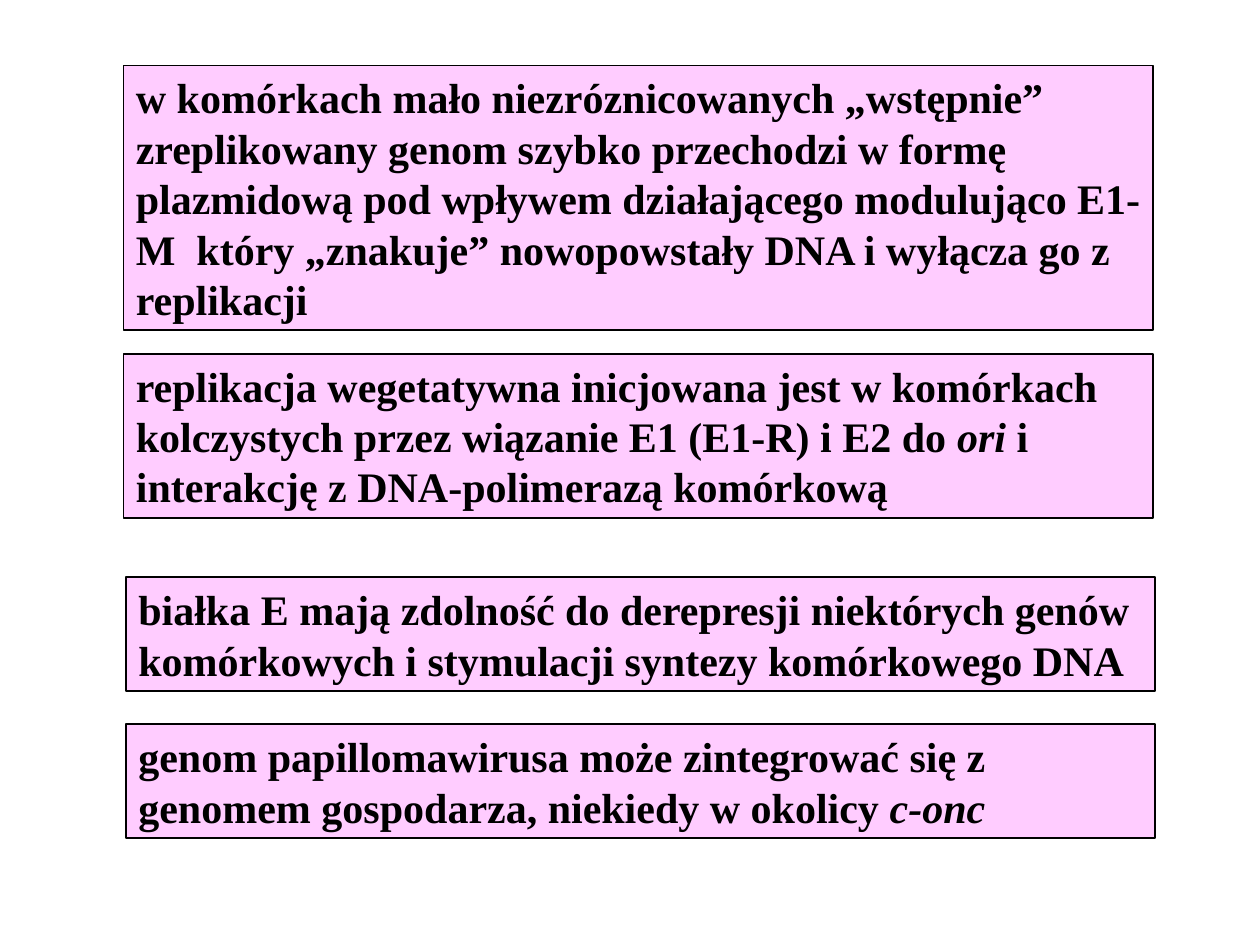
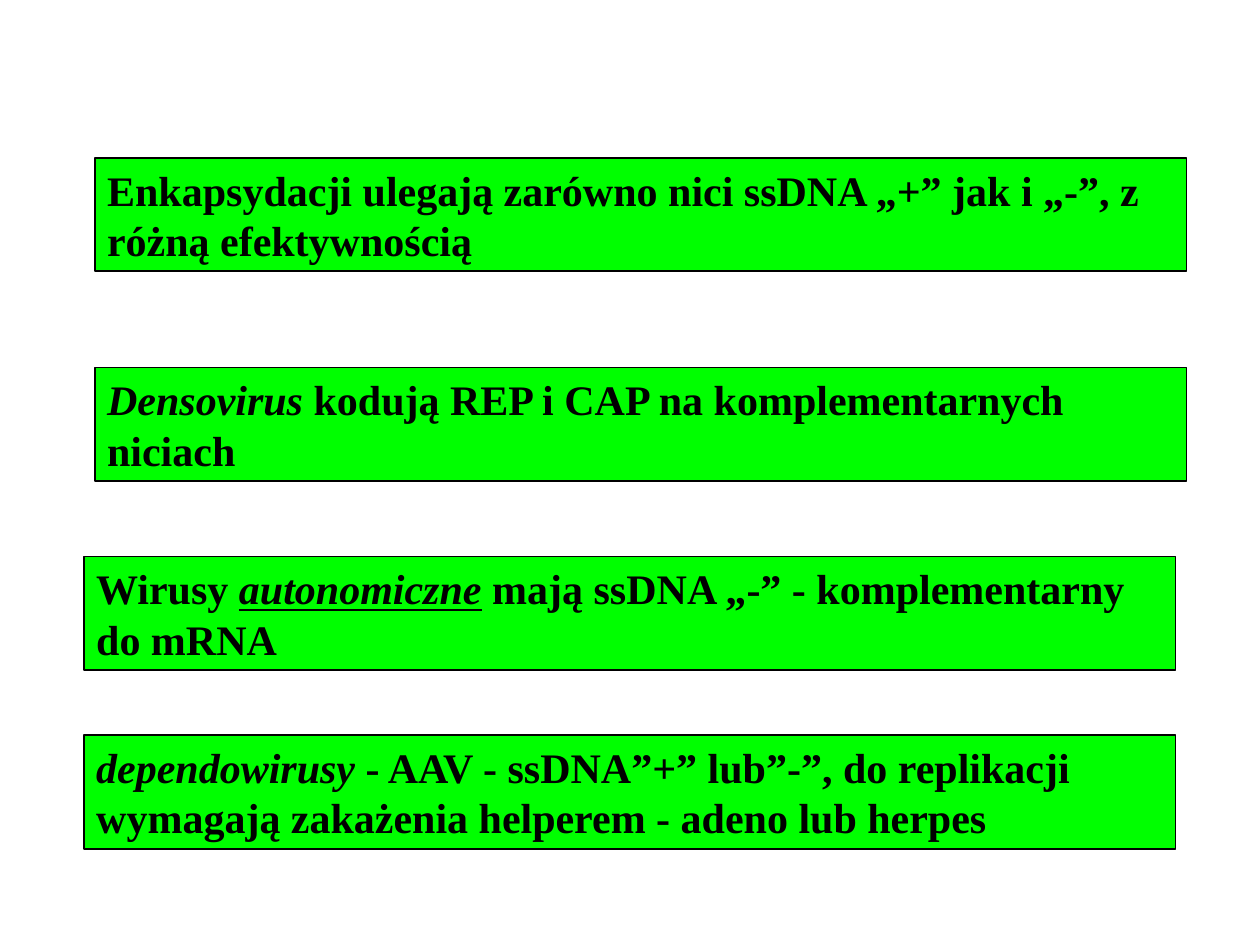
from dataclasses import dataclass

import pptx
import pptx.dml.color
import pptx.enum.shapes
import pptx.enum.text
import pptx.util
from pptx.util import Cm, Pt


@dataclass(frozen=True)
class Theme:
    font: str = "Times New Roman"
    size: float = 24
    leading: float = 28.8
    line_width: float = 1
    ink: str = "000000"
    pink: str = "FFCCFF"
    green: str = "00FF00"


THEME = Theme()
LINE_HEIGHT = 1.016
INSET_X, INSET_Y = 0.25, 0.13


@dataclass(frozen=True)
class Run:
    text: str
    italic: bool = False
    underline: bool = False


@dataclass(frozen=True)
class Note:
    left: float
    top: float
    lines: int
    runs: tuple[Run, ...]


@dataclass(frozen=True)
class NoteSlide:
    fill: str
    width: float
    notes: tuple[Note, ...]


PAPILLOMA = NoteSlide(THEME.pink, 20.75, (
    Note(2.49, 1.32, 5, (
        Run("w komórkach mało niezróznicowanych „wstępnie” zreplikowany genom "
            "szybko przechodzi w formę plazmidową pod wpływem działającego "
            "modulująco E1-M  który „znakuje” nowopowstały DNA i wyłącza "
            "go z replikacji"),)),
    Note(2.49, 7.13, 3, (
        Run("replikacja wegetatywna inicjowana jest w komórkach kolczystych "
            "przez wiązanie E1 (E1-R) i E2 do "),
        Run("ori", italic=True),
        Run(" i interakcję z DNA-polimerazą komórkową"))),
    Note(2.54, 11.64, 2, (
        Run("białka E mają zdolność do derepresji niektórych genów "
            "komórkowych i stymulacji syntezy komórkowego DNA"),)),
    Note(2.54, 14.6, 2, (
        Run("genom papillomawirusa może zintegrować się z genomem gospodarza, "
            "niekiedy w okolicy "),
        Run("c-onc", italic=True))),
))

PARVO = NoteSlide(THEME.green, 22.01, (
    Note(1.91, 3.18, 2, (
        Run("Enkapsydacji ulegają zarówno nici ssDNA „+” jak i „-”, "
            "z różną efektywnością"),)),
    Note(1.91, 7.41, 2, (
        Run("Densovirus ", italic=True),
        Run("kodują REP i CAP na komplementarnych niciach"))),
    Note(1.69, 11.22, 2, (
        Run("Wirusy "),
        Run("autonomiczne", italic=True, underline=True),
        Run(" mają ssDNA „-” - komplementarny do mRNA"))),
    Note(1.69, 14.82, 2, (
        Run("dependowirusy", italic=True),
        Run(" - AAV - ssDNA”+” lub”-”, do replikacji wymagają zakażenia "
            "helperem - adeno lub herpes"))),
))


def rgb(value: str) -> pptx.dml.color.RGBColor:
    return pptx.dml.color.RGBColor.from_string(value)


def add_run(p, text: str, *, italic: bool = False, underline: bool = False,
            bold: bool = True, size: float = THEME.size,
            color: str = THEME.ink) -> None:
    r = p.add_run()
    r.text = text
    r.font.name = THEME.font
    r.font.size = Pt(size)
    r.font.bold = bold
    r.font.italic = italic
    r.font.underline = underline
    r.font.color.rgb = rgb(color)


def add_note(s, note: Note, width: float, fill: str) -> None:
    """Draw a framed box whose height follows its number of text lines."""
    height = note.lines * LINE_HEIGHT + 2 * INSET_Y
    sp = s.shapes.add_shape(pptx.enum.shapes.MSO_SHAPE.RECTANGLE, Cm(note.left),
                            Cm(note.top), Cm(width), Cm(height))
    sp.shadow.inherit = False
    sp.fill.solid()
    sp.fill.fore_color.rgb = rgb(fill)
    sp.line.color.rgb = rgb(THEME.ink)
    sp.line.width = Pt(THEME.line_width)

    tf = sp.text_frame
    tf.word_wrap = True
    tf.auto_size = pptx.enum.text.MSO_AUTO_SIZE.SHAPE_TO_FIT_TEXT
    tf.vertical_anchor = pptx.enum.text.MSO_ANCHOR.TOP
    tf.margin_left = tf.margin_right = Cm(INSET_X)
    tf.margin_top = tf.margin_bottom = Cm(INSET_Y)
    p = tf.paragraphs[0]
    p.alignment = pptx.enum.text.PP_ALIGN.LEFT
    p.line_spacing = Pt(THEME.leading)
    for run in note.runs:
        add_run(p, run.text, italic=run.italic, underline=run.underline)


def main() -> None:
    prs = pptx.Presentation()
    prs.slide_width, prs.slide_height = Cm(25.4), Cm(19.05)
    for content in (PAPILLOMA, PARVO):
        s = prs.slides.add_slide(prs.slide_layouts[6])
        for note in content.notes:
            add_note(s, note, content.width, content.fill)
    prs.save("out.pptx")


if __name__ == "__main__":
    main()
